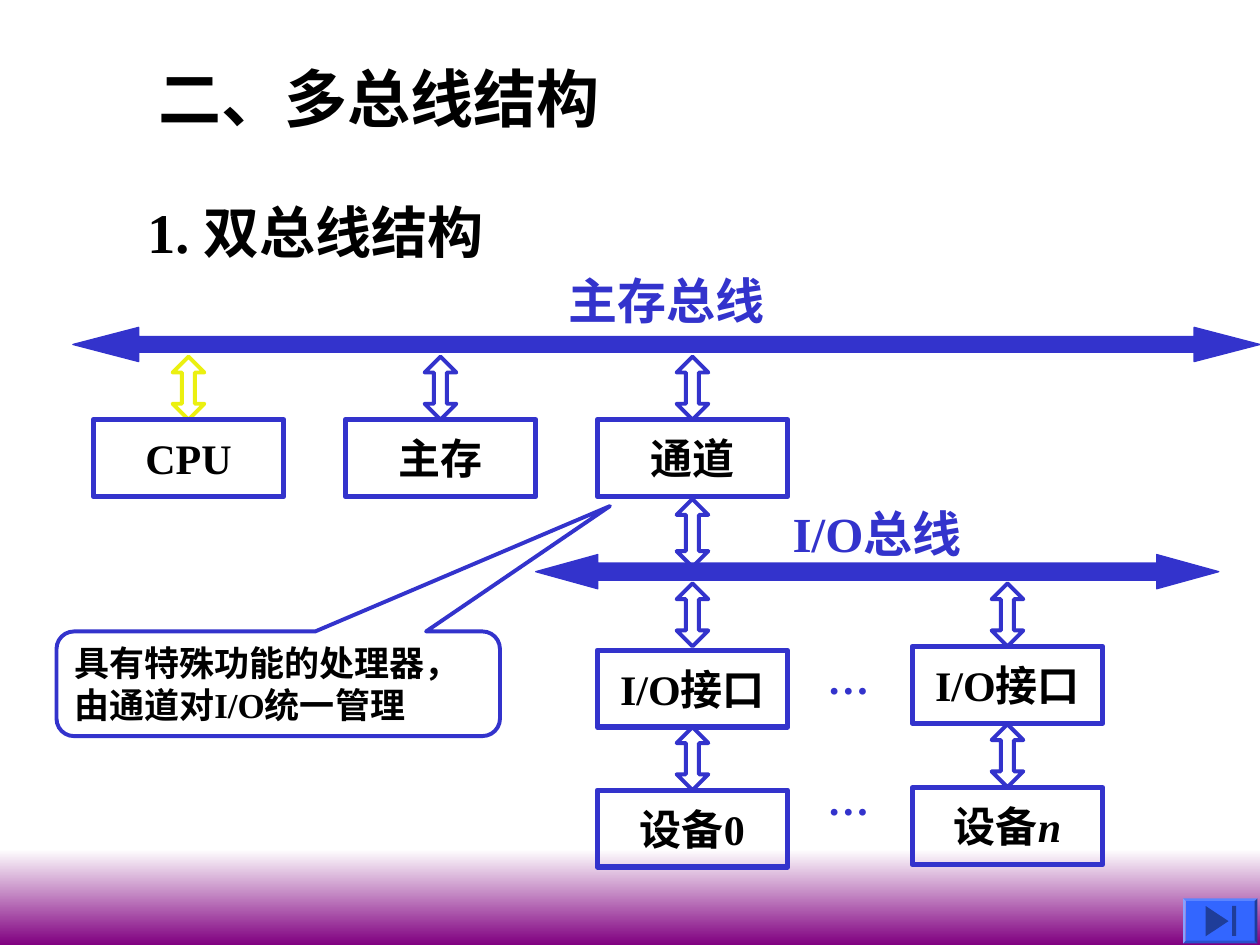
from typing import NamedTuple

from lxml.etree import SubElement
from pptx import Presentation
from pptx.dml.color import RGBColor
from pptx.enum.shapes import MSO_SHAPE as Shape
from pptx.enum.text import MSO_ANCHOR as Anchor, PP_ALIGN as Align
from pptx.oxml.ns import qn
from pptx.util import Cm, Pt

BLACK = RGBColor(0x00, 0x00, 0x00)
WHITE = RGBColor(0xFF, 0xFF, 0xFF)
BLUE = RGBColor(0x33, 0x33, 0xCC)
YELLOW = RGBColor(0xEB, 0xF0, 0x10)
PURPLE = RGBColor(0x80, 0x00, 0x80)
BUTTON = RGBColor(0x33, 0x66, 0xFF)
BUTTON_DARK = RGBColor(0x1F, 0x3D, 0x99)

LATIN = "Times New Roman"
CJK = "Noto Sans CJK SC"

BOX_W, BOX_H = 3.84, 1.55
ARROW_W = 0.64


class Box(NamedTuple):
    center: float
    top: float
    text: str
    font: str = LATIN
    italic_tail: str = ""


class Arrow(NamedTuple):
    center: float
    top: float
    height: float = 1.27
    color: RGBColor = BLUE


class Bus(NamedTuple):
    left: float
    top: float
    width: float
    shaft: float
    head: float


class Label(NamedTuple):
    left: float
    top: float
    width: float
    height: float
    text: str
    size: int
    font: str = LATIN
    color: RGBColor = BLACK
    margin: float = 0
    align: Align = Align.LEFT


# Column centres of the diagram, in centimetres
CPU, MEMORY, CHANNEL, LAST = 3.8, 8.88, 13.96, 20.31

BOXES = [
    Box(CPU, 8.46, "CPU"),
    Box(MEMORY, 8.46, "主存", CJK),
    Box(CHANNEL, 8.46, "通道", CJK),
    Box(CHANNEL, 13.11, "I/O接口"),
    Box(LAST, 13.03, "I/O接口"),
    Box(CHANNEL, 15.93, "设备0"),
    Box(LAST, 15.88, "设备", italic_tail="n"),
]
ARROWS = [
    Arrow(CPU, 7.19, color=YELLOW),
    Arrow(MEMORY, 7.19),
    Arrow(CHANNEL, 7.19),
    Arrow(CHANNEL, 10.06, 1.37),
    Arrow(CHANNEL, 11.76),
    Arrow(LAST, 11.76),
    Arrow(CHANNEL, 14.66),
    Arrow(LAST, 14.6),
]
BUSES = [
    Bus(1.47, 6.6, 23.93, 0.458, 1.923),
    Bus(10.8, 11.18, 13.77, 0.5, 1.814),
]
LABELS = [
    Label(2.95, 1.07, 11.86, 1.78, "二、多总线结构", 36, margin=0.25),
    Label(2.72, 3.86, 9, 1.63, "1. 双总线结构", 32, margin=0.25),
    Label(11.46, 5.46, 6.76, 1.19, "主存总线", 28, CJK, BLUE),
    Label(15.98, 10.16, 5.61, 1.19, "I/O总线", 28, color=BLUE),
    Label(16.43, 13.16, 1.35, 1.02, "…", 24, color=BLUE, align=Align.CENTER),
    Label(16.43, 15.6, 1.35, 1.02, "…", 24, color=BLUE, align=Align.CENTER),
]


def style_text(tf, size: int, font: str, color: RGBColor, align: Align) -> None:
    for p in tf.paragraphs:
        p.alignment = align
        for r in p.runs:
            r.font.size, r.font.bold, r.font.name = Pt(size), True, font
            r.font.color.rgb = color
            SubElement(r.font._element, qn("a:ea")).set("typeface", CJK)


def add_shape(s, kind, left: float, top: float, width: float, height: float,
              line: RGBColor | None = None, weight: float = 0,
              fill: RGBColor | None = None):
    sp = s.shapes.add_shape(kind, Cm(left), Cm(top), Cm(width), Cm(height))
    sp.shadow.inherit = False
    if fill is None:
        sp.fill.background()
    else:
        sp.fill.solid()
        sp.fill.fore_color.rgb = fill
    if line is None:
        sp.line.fill.background()
    else:
        sp.line.color.rgb = line
        sp.line.width = Pt(weight)
    return sp


def add_box(s, box: Box) -> None:
    sp = add_shape(s, Shape.RECTANGLE, box.center - BOX_W / 2, box.top,
                   BOX_W, BOX_H, BLUE, 3)
    tf = sp.text_frame
    tf.text = box.text
    tf.vertical_anchor = Anchor.MIDDLE
    if box.italic_tail:
        r = tf.paragraphs[0].add_run()
        r.text = box.italic_tail
        r.font.italic = True
    style_text(tf, 24, box.font, BLACK, Align.CENTER)


def add_arrow(s, arrow: Arrow) -> None:
    sp = add_shape(s, Shape.UP_DOWN_ARROW, arrow.center - ARROW_W / 2,
                   arrow.top, ARROW_W, arrow.height, arrow.color, 2.25)
    sp.adjustments[0], sp.adjustments[1] = 0.5, 0.41


def add_bus(s, bus: Bus) -> None:
    sp = add_shape(s, Shape.LEFT_RIGHT_ARROW, bus.left, bus.top, bus.width,
                   0.69, BLUE, 0.75, BLUE)
    sp.adjustments[0], sp.adjustments[1] = bus.shaft, bus.head


def add_label(s, label: Label) -> None:
    sp = s.shapes.add_textbox(Cm(label.left), Cm(label.top),
                              Cm(label.width), Cm(label.height))
    tf = sp.text_frame
    tf.word_wrap = True
    tf.margin_left = tf.margin_right = Cm(label.margin)
    tf.margin_top = tf.margin_bottom = Cm(label.margin / 2)
    tf.text = label.text
    style_text(tf, label.size, label.font, label.color, label.align)


def add_callout(s) -> None:
    sp = add_shape(s, Shape.ROUNDED_RECTANGULAR_CALLOUT, 1.14, 12.73,
                   8.94, 2.11, BLUE, 2.25)
    for i, value in enumerate((0.748, -1.698, 0.167)):
        sp.adjustments[i] = value
    tf = sp.text_frame
    tf.text = "具有特殊功能的处理器，\n由通道对I/O统一管理"
    tf.vertical_anchor = Anchor.MIDDLE
    style_text(tf, 20, LATIN, BLACK, Align.LEFT)


def add_footer_band(s) -> None:
    band = add_shape(s, Shape.RECTANGLE, 0, 17.12, 25.4, 1.93)
    band.fill.gradient()
    band.fill.gradient_angle = 270
    for stop, color in zip(band.fill.gradient_stops, (WHITE, PURPLE)):
        stop.color.rgb = color


def add_end_button(s) -> None:
    bevel = add_shape(s, Shape.BEVEL, 23.85, 18.11, 1.5, 0.91, fill=BUTTON)
    bevel.adjustments[0] = 0.06
    # A triangle turned to the right, then the bar
    triangle = add_shape(s, Shape.ISOSCELES_TRIANGLE, 24.23, 18.34, 0.61, 0.46,
                         fill=BUTTON_DARK)
    triangle.rotation = 90
    add_shape(s, Shape.RECTANGLE, 24.84, 18.26, 0.08, 0.61, fill=BUTTON_DARK)


def main() -> None:
    prs = Presentation()
    prs.slide_width, prs.slide_height = Cm(25.4), Cm(19.05)
    s = prs.slides.add_slide(prs.slide_layouts[6])

    add_footer_band(s)
    add_callout(s)
    # Diagram: arrows lie under the boxes and buses
    for draw, items in ((add_arrow, ARROWS), (add_box, BOXES),
                        (add_label, LABELS), (add_bus, BUSES)):
        for item in items:
            draw(s, item)
    add_end_button(s)

    prs.save("out.pptx")


if __name__ == "__main__":
    main()
